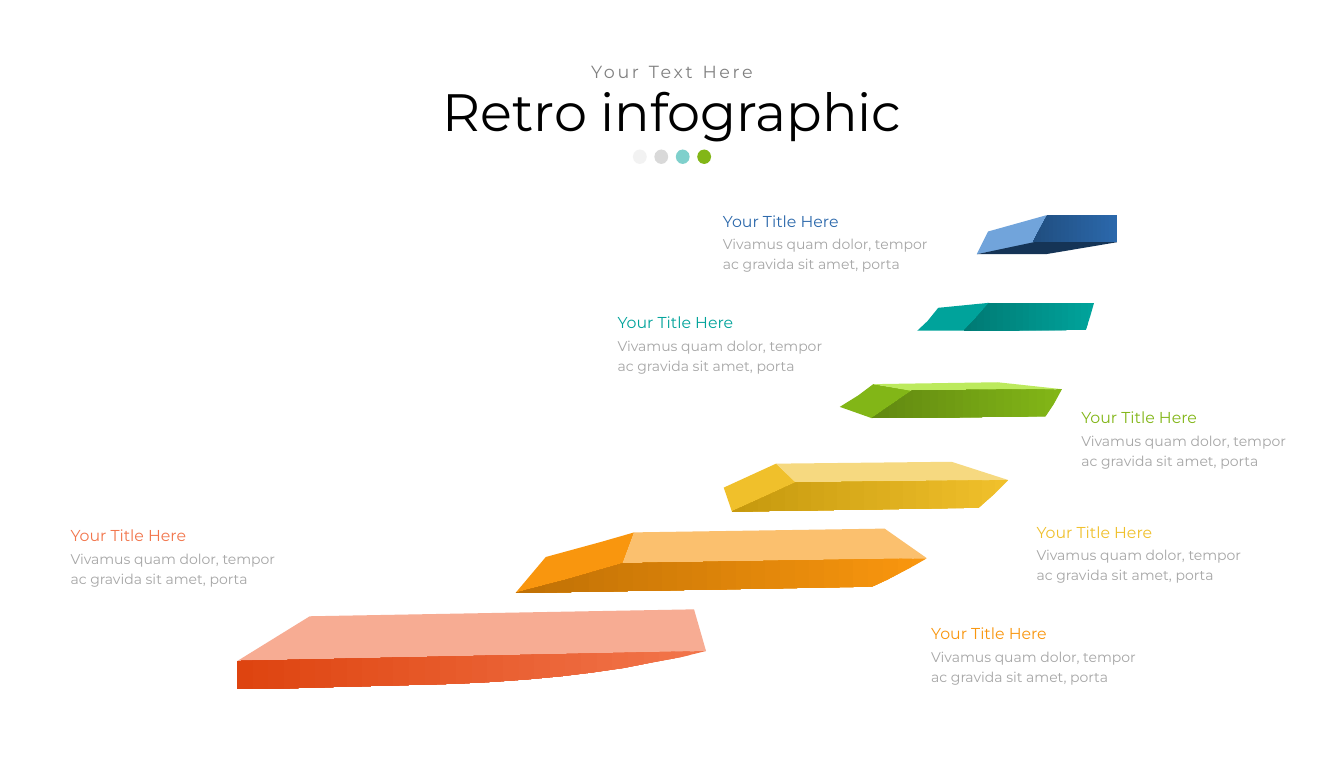
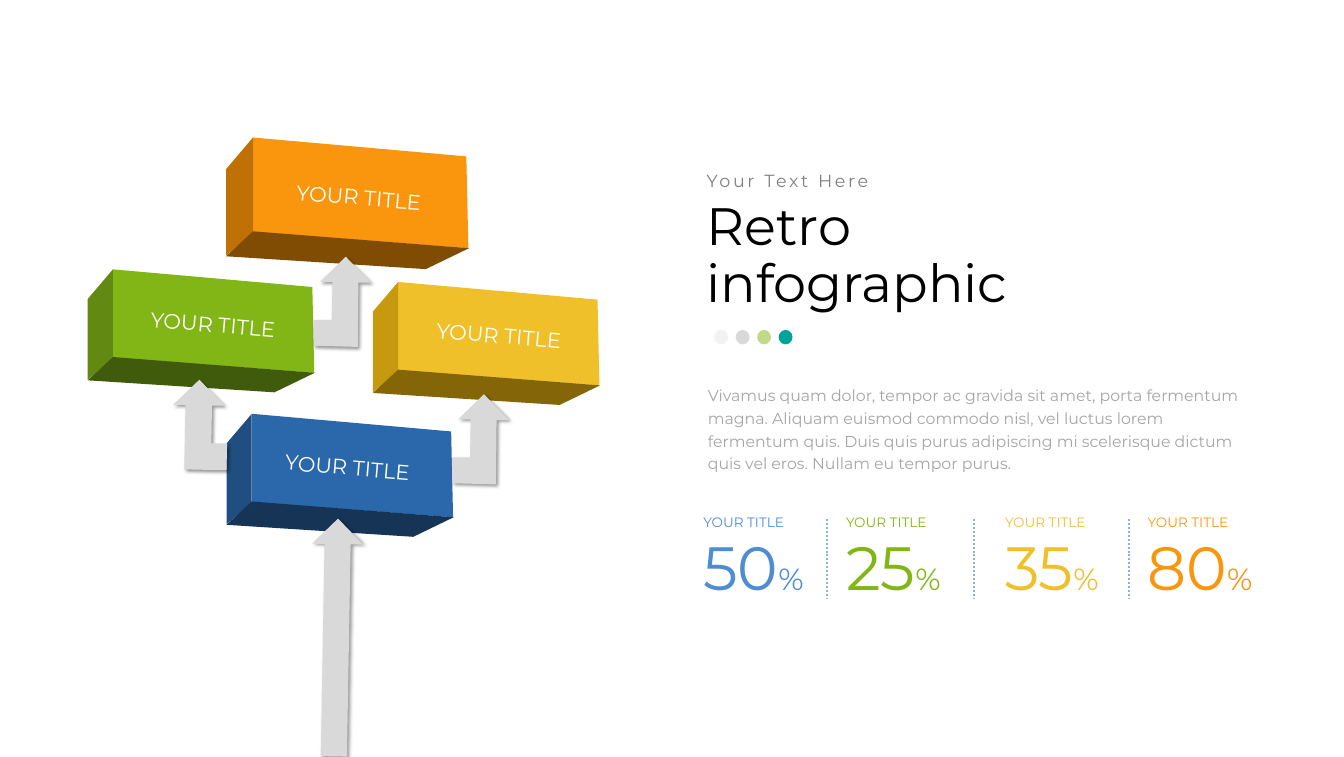
"""Build two retro infographic slides: a rising staircase and a signpost of blocks."""
from lxml import etree
from pptx import Presentation
from pptx.dml.color import RGBColor
from pptx.enum.dml import MSO_LINE
from pptx.enum.shapes import MSO_CONNECTOR, MSO_SHAPE
from pptx.enum.text import MSO_ANCHOR, MSO_AUTO_SIZE, PP_ALIGN
from pptx.oxml.ns import qn
from pptx.util import Cm, Pt

LEFT, CENTER = PP_ALIGN.LEFT, PP_ALIGN.CENTER
TOP = MSO_ANCHOR.TOP
GROW, FIXED = MSO_AUTO_SIZE.SHAPE_TO_FIT_TEXT, MSO_AUTO_SIZE.NONE
DOTTED = MSO_LINE.ROUND_DOT
STRAIGHT = MSO_CONNECTOR.STRAIGHT
OVAL, RIGHT_ARROW = MSO_SHAPE.OVAL, MSO_SHAPE.RIGHT_ARROW

FONT = "Montserrat"
COLORS = {
    "black": "000000", "white": "FFFFFF", "subtitle": "808080", "body": "A6A6A6",
    "pale": "F2F2F2", "silver": "D9D9D9", "divider": "89B3E1", "sky": "4E8DD2",
    "coral": "F2754B", "coral light": "F7AC93", "coral dark": "DE4410",
    "orange": "F9960E", "orange light": "FBC06E", "orange dark": "C07105", "orange deep": "804C03",
    "yellow": "F0C02B", "yellow light": "F6D980", "yellow dark": "C6990E", "yellow deep": "846609",
    "green": "82B617", "green light": "BCEA5D", "green dark": "628911", "green deep": "415B0C",
    "teal": "00A39B", "teal dark": "007A74",
    "blue": "2B68AB", "blue light": "71A4DB", "blue dark": "204E80", "blue deep": "153456",
}
GROWING_FRAME = {"word_wrap": True, "auto_size": GROW}
LABEL_FRAME = {"word_wrap": False, "auto_size": GROW}
HEADING_FRAME = {"word_wrap": True, "auto_size": FIXED, "vertical_anchor": TOP}

CAPTION_TITLE = "Your Title Here"
CAPTION_BODY = "Vivamus quam dolor, tempor ac gravida sit amet, porta"
BLOCK_TITLE = "YOUR TITLE"
PARAGRAPH_TEXT = (
    "Vivamus quam dolor, tempor ac gravida sit amet, porta fermentum magna. "
    "Aliquam euismod commodo nisl, vel luctus lorem fermentum quis. Duis quis purus "
    "adipiscing mi scelerisque dictum quis vel eros. Nullam eu tempor purus."
)

CAPTIONS = [
    ("blue", 11.36, 3.24), ("teal", 9.69, 4.85), ("coral", 1.02, 8.23),
    ("yellow", 16.33, 8.17), ("orange", 14.66, 9.78), ("green", 17.04, 6.36),
]
STEPS = [
    [
        ("coral light", [(3.76, 10.48), (4.91, 9.77), (11, 9.66), (11.19, 10.32), (4.68, 10.62)]),
        (("coral", "coral dark"), [
            (3.76, 10.48), (3.76, 10.92), (4.26, 10.92), (5.32, 10.89), (7.2, 10.84), (7.79, 10.81),
            (8.35, 10.77), (8.89, 10.72), (9.39, 10.66), (9.88, 10.59), (10.34, 10.5),
            (10.78, 10.42), (11.19, 10.32)]),
    ],
    [
        ("blue light", [(16.59, 3.41), (15.66, 3.67), (15.48, 4.03), (16.38, 3.86)]),
        ("blue deep", [(17.7, 3.84), (16.57, 4.03), (15.48, 4.03), (16.38, 3.84)]),
        (("blue", "blue dark"), [
            (17.71, 3.41), (17.71, 3.66), (17.7, 3.84), (16.37, 3.84), (16.48, 3.63), (16.6, 3.41)]),
    ],
    [
        ("orange", [
            (10.05, 8.44), (9.53, 8.59), (8.65, 8.83), (8.17, 9.4), (9.74, 9.03), (9.87, 8.93)]),
        ("orange light", [(9.86, 8.95), (10.05, 8.44), (14.02, 8.38), (14.69, 8.85)]),
        (("orange", "orange dark"), [
            (14.69, 8.85), (14.48, 8.97), (14.27, 9.08), (14.06, 9.19), (13.82, 9.3),
            (8.17, 9.4), (9.01, 9.18), (9.87, 8.93)]),
    ],
    [
        ("teal", [(15.68, 4.8), (14.87, 4.88), (14.7, 5.09), (14.54, 5.24), (15.28, 5.24), (15.57, 4.97)]),
        (("teal", "teal dark"), [
            (17.34, 4.8), (17.28, 5.01), (17.21, 5.23), (15.28, 5.24), (15.48, 5.03), (15.68, 4.8)]),
    ],
    [
        ("green", [(13.31, 6.45), (13.6, 6.27), (13.84, 6.09), (14.45, 6.19), (13.95, 6.58), (13.82, 6.63)]),
        ("green light", [(14.47, 6.2), (13.84, 6.09), (15.81, 6.06), (16.83, 6.17)]),
        (("green", "green dark"), [
            (16.83, 6.17), (16.71, 6.39), (16.57, 6.6), (13.82, 6.63), (14.14, 6.41), (14.46, 6.19)]),
    ],
    [
        ("yellow", [(12.62, 7.65), (12.3, 7.35), (11.47, 7.73), (11.6, 8.11), (12.4, 7.8)]),
        ("yellow light", [(12.63, 7.67), (12.3, 7.35), (15.08, 7.32), (15.98, 7.61)]),
        (("yellow", "yellow dark"), [
            (15.98, 7.61), (15.76, 7.83), (15.51, 8.05), (11.6, 8.11), (12.11, 7.88), (12.61, 7.65)]),
    ],
]

BLOCK_FACES = {
    "": [(0, 0), (3.16, 0.28), (3.19, 1.64), (0, 1.4)],
    " dark": [(0, 0), (-0.4, 0.47), (-0.4, 1.75), (0, 1.41)],
    " deep": [(0, 1.39), (-0.4, 1.76), (2.56, 1.95), (3.2, 1.64)],
}
BLOCKS = [
    ("green", (1.79, 4.27), 1, (2.29, 4.89)),
    ("yellow", (6.31, 4.47), 1, (6.82, 5.06)),
    ("blue", (3.99, 6.56), 1, (4.42, 7.15)),
    ("orange", (4.01, 2.18), 1.07, (4.6, 2.87)),
]
ELBOW_FROM_RIGHT = [
    (0, 0), (-0.42, 0.4), (-0.22, 0.4), (-0.24, 1.42), (0.18, 1.43),
    (0.43, 1.43), (0.44, 1.01), (0.19, 1.01), (0.2, 0.41), (0.4, 0.41),
]
ELBOW_FROM_LEFT = [
    (0, 0), (-0.41, 0.4), (-0.21, 0.4), (-0.22, 1), (-0.51, 1),
    (-0.5, 1.41), (0.19, 1.43), (0.2, 0.41), (0.4, 0.41),
]
ELBOWS = [
    (ELBOW_FROM_RIGHT, (3.16, 6.02)),
    (ELBOW_FROM_LEFT, (7.67, 6.25)),
    (ELBOW_FROM_LEFT, (5.48, 4.07)),
]
STATS = [
    ("sky", "50", 11.05, 1.97), ("green", "25", 13.31, 1.86),
    ("yellow", "35", 15.83, 1.86), ("orange", "80", 18.09, 1.98),
]
DIVIDERS = [13.1, 15.44, 17.89]


def length(inches):
    """Turn inches into a length."""
    return Cm(inches * 2.54)


def lengths(*inches):
    """Turn several inch values into lengths."""
    return [length(value) for value in inches]


def color(name):
    """Look up a named colour."""
    return RGBColor.from_string(COLORS[name])


def set_values(target, values):
    """Set attributes of an object from a dict."""
    for name, value in values.items():
        setattr(target, name, value)


def write_text(frame, paragraphs, color_name, frame_format, line_spacing=1.0, align=LEFT, spacing=None):
    """Write paragraphs, each a list of (text, size) runs."""
    set_values(frame, frame_format)
    for index, runs in enumerate(paragraphs):
        paragraph = frame.add_paragraph() if index else frame.paragraphs[0]
        set_values(paragraph, {"alignment": align, "line_spacing": line_spacing, "space_before": Pt(0)})
        for text, size in runs:
            run = paragraph.add_run()
            run.text = text
            set_values(run.font, {"name": FONT, "size": Pt(size)})
            run.font.color.rgb = color(color_name)
            if spacing:
                run.font._element.set("spc", str(spacing * 100))


def add_text(shapes, box, paragraphs, color_name, frame_format=GROWING_FRAME, line_spacing=1.0):
    """Add a text box and return it."""
    text_box = shapes.add_textbox(*lengths(*box))
    write_text(text_box.text_frame, paragraphs, color_name, frame_format, line_spacing)
    return text_box


def place(shape, box):
    """Move and size a placeholder."""
    set_values(shape, dict(zip(("left", "top", "width", "height"), lengths(*box))))


def add_heading(slide, title_lines, title_box, subtitle_box, align):
    """Fill the title placeholder and the subtitle in the body placeholder."""
    title, subtitle = slide.shapes.title, slide.placeholders[1]
    place(title, title_box)
    place(subtitle, subtitle_box)
    write_text(title.text_frame, [[(line, 60)] for line in title_lines], "black", HEADING_FRAME, 0.9, align)
    write_text(subtitle.text_frame, [[("Your Text Here", 20)]], "subtitle", HEADING_FRAME, 0.9, align, 3)
    properties = subtitle.text_frame.paragraphs[0]._p.get_or_add_pPr()
    properties.set("marL", "0")
    properties.set("indent", "0")
    etree.SubElement(properties, qn("a:buNone"))


def paint(shape, fill):
    """Give a shape a plain fill, or a gradient for a pair of names, with no line or shadow."""
    if isinstance(fill, tuple):
        shape.fill.gradient()
        shape.fill.gradient_angle = 180
        for stop, name in zip(shape.fill.gradient_stops, fill):
            stop.color.rgb = color(name)
    else:
        shape.fill.solid()
        shape.fill.fore_color.rgb = color(fill)
    shape.line.fill.background()
    shape.shadow.inherit = False


def add_alpha(color_element, percent):
    """Make a colour element partly transparent."""
    etree.SubElement(color_element, qn("a:alpha"), val=str(percent * 1000))


def add_drop_shadow(shape):
    """Add a soft shadow to the lower right."""
    effects = shape._element.spPr.find(qn("a:effectLst"))
    shadow = etree.SubElement(
        effects, qn("a:outerShdw"), blurRad=str(Pt(4)), dist=str(Pt(3)),
        dir="2700000", algn="tl", rotWithShape="0")
    add_alpha(etree.SubElement(shadow, qn("a:srgbClr"), val=COLORS["black"]), 40)


def add_outline(shapes, points, fill, origin=(0, 0), scale=1):
    """Add a closed polygon and return it."""
    corners = [lengths(origin[0] + x * scale, origin[1] + y * scale) for x, y in points]
    builder = shapes.build_freeform(*corners[0], scale=1.0)
    builder.add_line_segments(corners[1:], close=True)
    shape = builder.convert_to_shape()
    paint(shape, fill)
    return shape


def add_dots(slide, left, top, third, fourth):
    """Add the row of four dots below a heading."""
    shapes = slide.shapes.add_group_shape().shapes
    for index, (name, opacity) in enumerate([("pale", 100), ("silver", 98), (third, 50), (fourth, 100)]):
        dot = shapes.add_shape(OVAL, *lengths(left + index * 0.34, top, 0.22, 0.23))
        paint(dot, name)
        if opacity < 100:
            add_alpha(dot._element.spPr.find(".//" + qn("a:srgbClr")), opacity)


def add_caption(slide, color_name, left, top):
    """Add a coloured caption title with its text below."""
    add_text(slide.shapes, (left, top, 3.73, 0.46), [[(CAPTION_TITLE, 18)]], color_name, line_spacing=1.2)
    add_text(slide.shapes, (left, top + 0.39, 3.66, 0.75), [[(CAPTION_BODY, 16)]], "body", line_spacing=1.2)


def add_divider(slide, x):
    """Add a dotted vertical line between figures."""
    divider = slide.shapes.add_connector(STRAIGHT, *lengths(x, 8.23, x, 9.49))
    divider.line.color.rgb = color("divider")
    set_values(divider.line, {"width": Pt(2.25), "dash_style": DOTTED})
    etree.SubElement(divider._element.spPr, qn("a:effectLst"))


def add_signpost(slide):
    """Add the blocks, the arrows joining them and the block labels."""
    shapes = slide.shapes.add_group_shape().shapes
    for name, origin, scale, _ in BLOCKS:
        for shade, points in BLOCK_FACES.items():
            add_outline(shapes, points, name + shade, origin, scale)
    for points, tip in ELBOWS:
        add_drop_shadow(add_outline(shapes, points, "silver", tip))
    trunk = shapes.add_shape(RIGHT_ARROW, *lengths(3.44, 9.7, 3.77, 0.81))
    trunk.rotation = 271
    trunk.adjustments[0], trunk.adjustments[1] = 0.51, 0.5
    paint(trunk, "silver")
    add_drop_shadow(trunk)
    for _, _, _, label_at in BLOCKS:
        label = add_text(shapes, (*label_at, 2.18, 0.5), [[(BLOCK_TITLE, 24)]], "white", LABEL_FRAME)
        label.rotation = 4.7


def build_staircase(slide):
    """Build the slide with the rising steps."""
    add_heading(slide, ["Retro infographic"], (1.02, 1.31, 19.26, 1.03), (7.48, 0.95, 6.34, 0.35), CENTER)
    add_dots(slide, 10.03, 2.37, "teal", "green")
    for caption in CAPTIONS:
        add_caption(slide, *caption)
    for faces in STEPS:
        shapes = slide.shapes.add_group_shape().shapes
        for fill, points in faces:
            add_outline(shapes, points, fill)


def build_signpost(slide):
    """Build the slide with the signpost and the figures."""
    add_heading(slide, ["Retro", "infographic"], (11.1, 3.12, 5.16, 1.97), (11.1, 2.68, 3.14, 0.44), LEFT)
    add_dots(slide, 11.32, 5.23, "green", "teal")
    for name, number, left, width in STATS:
        figure = [[(BLOCK_TITLE, 15.5)], [(number, 69.7), ("%", 34.9)]]
        add_text(slide.shapes, (left, 8.09, width, 1.53), figure, name, LABEL_FRAME)
    for x in DIVIDERS:
        add_divider(slide, x)
    add_text(slide.shapes, (11.12, 6.01, 8.62, 1.56), [[(PARAGRAPH_TEXT, 18)]], "body", line_spacing=1.2)
    add_signpost(slide)


def main():
    """Build and save the presentation."""
    presentation = Presentation()
    presentation.slide_width, presentation.slide_height = lengths(21.3, 12)
    for build in (build_staircase, build_signpost):
        build(presentation.slides.add_slide(presentation.slide_layouts[1]))
    presentation.save("out.pptx")


if __name__ == "__main__":
    main()
